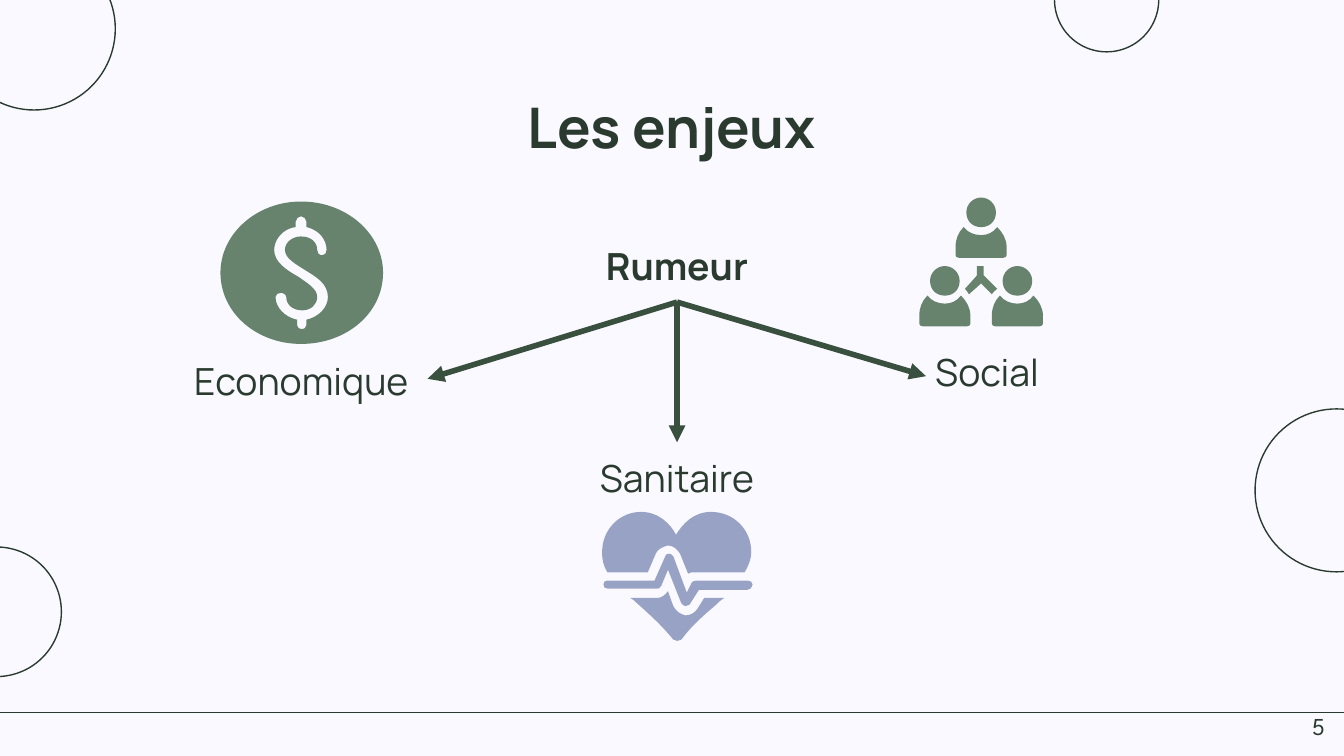
from lxml.etree import SubElement
from pptx import Presentation
from pptx.dml.color import RGBColor
from pptx.enum.shapes import MSO_CONNECTOR, MSO_SHAPE
from pptx.enum.text import MSO_ANCHOR, PP_ALIGN
from pptx.oxml.ns import qn
from pptx.util import Cm, Pt

PAPER = RGBColor(0xF9, 0xF9, 0xFF)
INK = RGBColor(0x2B, 0x3A, 0x2F)
ARROW = RGBColor(0x3A, 0x50, 0x3F)
GREEN = RGBColor(0x67, 0x83, 0x6D)
LILAC = RGBColor(0x98, 0xA2, 0xC4)

# Icon outlines: M move, L line, C Bézier curve, in hundredths of an inch
UNIT = Cm(2.54) / 100
DOLLAR = """M 224 161 C 226 161 228 163 228 165 L 228 169 C 237 171 243 178 243 186
C 243 188 242 190 240 190 C 237 190 236 188 236 186 C 236 180 231 176 224 176
C 218 176 212 180 212 186 C 212 192 219 196 227 201 C 235 206 244 211 244 221
C 244 229 237 236 228 238 L 228 242 C 228 244 226 245 225 245 C 222 245 221 243 221 242
L 221 238 C 212 236 205 229 205 221 C 205 219 207 218 209 218 C 210 218 213 219 213 221
C 213 227 218 231 225 231 C 231 231 236 227 236 221 C 236 215 229 211 222 206
C 213 201 204 195 204 186 C 204 178 211 170 220 169 L 220 165 C 220 163 222 161 224 161
M 224 150 C 191 150 164 174 164 203 C 164 233 191 256 224 256 C 258 256 285 233 285 203
C 285 174 258 150 224 150"""
HEAD = """M 11 0 C 5 0 0 5 0 11 C 0 18 5 22 11 22 C 17 22 22 18 22 11 C 22 5 17 0 11 0"""
SHOULDERS = """M 6 0 C 2 4 0 9 0 15 L 0 21 C 0 22 1 23 3 23 L 35 23 C 37 23 38 22 38 21
L 38 15 C 38 9 35 4 31 0 C 28 4 24 6 19 6 C 14 6 9 4 6 0"""
BRANCHES = """M 727 198 L 727 205 L 718 215 C 719 216 720 217 721 219 L 730 211 L 738 219
C 739 218 740 216 742 215 L 732 205 L 732 198"""
HEART = [
    """M 498 412 C 496 412 495 413 495 414 L 487 432 L 452 432 C 450 432 449 433 449 435
    C 449 437 450 438 452 438 L 489 438 C 490 438 491 438 492 436 L 497 424 L 507 449
    C 508 450 509 451 510 451 C 511 451 512 451 513 450 L 520 439 L 556 439
    C 558 439 560 437 560 435 C 560 433 558 432 556 432 L 518 432 C 517 432 516 433 515 433
    L 511 441 L 501 414 C 500 413 499 412 498 412""",
    """M 477 381 C 461 381 448 394 448 411 C 448 417 449 421 452 426 L 482 426 L 488 412
    C 489 409 493 407 497 406 C 501 406 504 409 506 412 L 512 427 C 513 426 515 426 517 426
    L 554 426 C 557 421 559 416 559 411 C 559 394 546 381 529 381 C 516 381 508 390 503 398
    C 499 390 490 381 477 381""",
    """M 497 440 C 495 443 492 445 489 445 L 469 445 C 471 446 472 447 474 449
    C 483 457 492 465 501 476 C 502 477 503 477 504 477 C 505 477 506 477 507 476
    C 516 464 525 457 534 449 C 536 447 537 446 539 445 L 524 445 L 519 453
    C 517 456 514 458 510 458 C 506 457 503 455 501 451 L 497 440""",
]


def add_outline(outline, color, left=0, top=0):
    parts = outline.replace("M", "|M").replace("L", "|L").replace("C", "|C").split("|")[1:]
    builder = None
    for number, part in enumerate(parts):
        values = [int(word) for word in part[1:].split()]
        points = [((x + left) * UNIT, (y + top) * UNIT) for x, y in zip(values[::2], values[1::2])]
        if builder is None:
            builder = page.shapes.build_freeform(*points[0], scale=1.0)
        elif part[0] == "M":
            builder.move_to(*points[0])
        else:
            last = number + 1 == len(parts) or parts[number + 1][0] == "M"
            builder.add_line_segments(points, close=last)
    shape = builder.convert_to_shape()
    # Turn each three control segments into one curve
    segments = [item for item in shape._element.iter(qn("a:moveTo"), qn("a:lnTo"))]
    for part in parts:
        first = segments.pop(0)
        if part[0] == "C":
            first.tag = qn("a:cubicBezTo")
            for _ in range(2):
                control = segments.pop(0)
                first.append(control[0])
                control.getparent().remove(control)
    shape.shadow.inherit = False
    shape.fill.solid()
    shape.fill.fore_color.rgb = color
    shape.line.fill.background()


def add_line(start, end, color, width):
    line = page.shapes.add_connector(
        MSO_CONNECTOR.STRAIGHT, *(Cm(value) for value in start + end))
    line.line.color.rgb = color
    line.line.width = Pt(width)
    SubElement(line._element.spPr, qn("a:effectLst"))
    return line


deck = Presentation()
deck.slide_width, deck.slide_height = Cm(25.4), Cm(14.29)
page = deck.slides.add_slide(deck.slide_layouts[6])
page.background.fill.solid()
page.background.fill.fore_color.rgb = PAPER

# Footer rule and corner circles
add_line((-0.05, 13.47), (25.45, 13.47), INK, 0.75)
for left, top, size in [(-0.89, -0.99, 3.07), (19.93, -0.99, 1.97),
                        (-1.29, 10.34, 2.45), (23.72, 7.73, 3.08)]:
    circle = page.shapes.add_shape(MSO_SHAPE.OVAL, Cm(left), Cm(top), Cm(size), Cm(size))
    circle.shadow.inherit = False
    circle.fill.background()
    circle.line.color.rgb = INK
    circle.line.width = Pt(0.75)

# Title, labels and page number
label = {"size": Pt(20), "name": "Manrope"}
texts = [
    ("Les enjeux", (1.99, 1.5, 21.41, 1.6), {**label, "size": Pt(30), "bold": True}),
    ("Social", (14.3, 6.43, 8.71, 1.27), label),
    ("Economique", (1.53, 6.52, 8.33, 1.37), label),
    ("Sanitaire", (8.63, 8.36, 8.33, 1.37), label),
    ("Rumeur", (8.63, 4.34, 8.33, 1.37), {**label, "bold": True}),
    ("5", (23.77, 13.2, 1.52, 1.09), {"size": Pt(13), "name": "League Spartan"}),
]
boxes = {}
for text, place, style in texts:
    box = page.shapes.add_textbox(*(Cm(value) for value in place))
    boxes[text] = box
    frame = {"word_wrap": True, "margin_left": Cm(0.25), "margin_right": Cm(0.25),
             "margin_top": Cm(0.25), "margin_bottom": Cm(0.25)}
    for name, value in frame.items():
        setattr(box.text_frame, name, value)
    para = box.text_frame.paragraphs[0]
    para.alignment = PP_ALIGN.CENTER
    span = para.add_run()
    span.text = text
    span.font.color.rgb = INK
    for name, value in style.items():
        setattr(span.font, name, value)
boxes["Social"].text_frame.vertical_anchor = MSO_ANCHOR.BOTTOM
boxes["5"].text_frame.paragraphs[0].alignment = PP_ALIGN.RIGHT

# Economic icon
add_outline(DOLLAR, GREEN)

# Social icon: three people joined by branches
for left, top in [(719, 147), (692, 198), (746, 198)]:
    add_outline(HEAD, GREEN, left, top)
    add_outline(SHOULDERS, GREEN, left - 8, top + 22)
add_outline(BRANCHES, GREEN)

# Health icon
for outline in HEART:
    add_outline(outline, LILAC)

# Arrows from the rumour to each stake
for end, target in [((8.08, 7.16), None), ((12.8, 8.36), "Sanitaire"), ((17.5, 7.11), None)]:
    arrow = add_line((12.8, 5.71), end, ARROW, 3)
    arrow.begin_connect(boxes["Rumeur"], 2)
    if target:
        arrow.end_connect(boxes[target], 0)
    SubElement(arrow.line._get_or_add_ln(), qn("a:tailEnd"), type="triangle")

deck.save("out.pptx")
